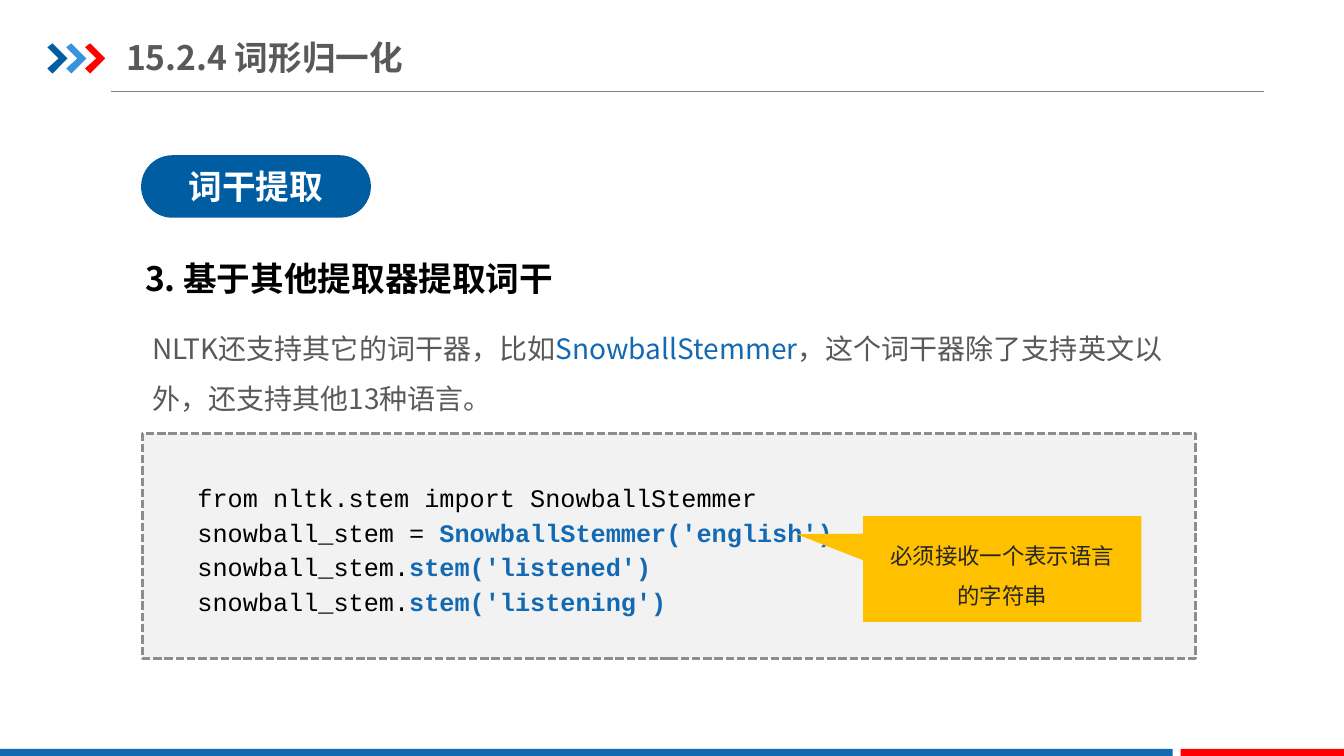
from lxml.etree import SubElement
from pptx import Presentation
from pptx.dml.color import RGBColor
from pptx.enum.dml import MSO_LINE
from pptx.enum.shapes import MSO_CONNECTOR, MSO_SHAPE
from pptx.enum.text import MSO_ANCHOR, MSO_AUTO_SIZE, PP_ALIGN
from pptx.oxml.ns import qn
from pptx.util import Inches, Pt

SANS, MONO = "Noto Sans CJK SC", "Courier New"
HEX = {"navy": "005DA2", "sky": "3992DB", "red": "FF0000", "blue": "1369B2",
       "gray": "595959", "rule": "808080", "dash": "8D8D8D", "pale": "F2F2F2",
       "gold": "FFC000", "dark": "262626", "black": "000000", "white": "FFFFFF"}

# Each text is a list of paragraphs, each paragraph a list of (words, style).
TITLE = [[("15.2.4 词形归一化", "title")]]
TOPIC = [[("词干提取", "topic")]]
HEAD = [[("3. 基于其他提取器提取词干", "head")]]
BODY = [[("NLTK还支持其它的词干器，比如", "body"), ("SnowballStemmer", "term"),
         ("，这个词干器除了支持英文以外，还支持其他13种语言。", "body")]]
CODE = [[("from nltk.stem import SnowballStemmer", "code")],
        [("snowball_stem = ", "code"), ("SnowballStemmer('english')", "key")],
        [("snowball_stem.", "code"), ("stem('listened')", "key")],
        [("snowball_stem.", "code"), ("stem('listening')", "key")]]
NOTE = [[("必须接收一个表示语言的字符串", "note")]]

# Font, size, bold, colour
STYLE = {"title": (SANS, 24, True, "gray"), "topic": (SANS, 24, True, "white"),
         "head": (SANS, 24, True, "black"), "body": (SANS, 20, False, "gray"),
         "term": (SANS, 20, False, "blue"), "code": (MONO, 18, False, "black"),
         "key": (MONO, 18, True, "blue"), "note": (SANS, 16, False, "dark")}

# Left, top, width, height in percent of the slide
LEFT, SPAN = 10.58, 78.39
AREA = {"title": (9.38, 3.87, 36.61, 7.33), "topic": (10.5, 20.53, 17.1, 8.27),
        "head": (10.05, 33.47, 33.23, 6.67), "body": (LEFT, 40.93, SPAN, 14),
        "panel": (LEFT, 57.33, SPAN, 29.73), "code": (11.78, 62.53, 76.07, 19.73),
        "note": (64.22, 68.27, 20.71, 14)}
BARS = [("blue", (0, 99.07, 87.25, 1.2)), ("red", (87.85, 99.07, 12.2, 1.2))]
RULE = (8.25, 94.07, 12.13)
ARROWS = ["navy", "sky", "red"]
ARROW_X, ARROW_Y, STEP = 3.53, 5.73, 1.4
ARROW = [(0, 0.53), (0.38, 0), (1.5, 2), (0.38, 4), (0, 3.33), (0.83, 2)]

deck = Presentation()
deck.slide_width, deck.slide_height = Inches(13.33), Inches(7.5)
slide = deck.slides.add_slide(deck.slide_layouts[5])
shapes = slide.shapes


def across(share):
    return round(deck.slide_width * share / 100)


def down(share):
    return round(deck.slide_height * share / 100)


def place(area):
    x, y, w, h = area
    return across(x), down(y), across(w), down(h)


def tint(name):
    return RGBColor.from_string(HEX[name])


def paint(shape, fill):
    shape.shadow.inherit = False
    shape.fill.solid()
    shape.fill.fore_color.rgb = tint(fill)
    shape.line.fill.background()
    return shape


def block(kind, area, fill):
    return paint(shapes.add_shape(kind, *place(area)), fill)


def write(shape, paras, lines=1.0, indent=0, **frame):
    """Fill a shape with styled paragraphs; frame holds text frame settings."""
    align = frame.pop("align", PP_ALIGN.LEFT)
    text = shape.text_frame
    for name, value in ({"word_wrap": True} | frame).items():
        setattr(text, name, value)
    for i, runs in enumerate(paras):
        para = text.paragraphs[0] if i == 0 else text.add_paragraph()
        para.alignment, para.line_spacing = align, lines
        if indent:
            props = para._p.get_or_add_pPr()
            props.set("marL", "0")
            props.set("indent", str(Inches(indent)))
        for words, style in runs:
            run = para.add_run()
            run.text = words
            face, size, bold, color = STYLE[style]
            for name, value in {"name": face, "size": Pt(size), "bold": bold}.items():
                setattr(run.font, name, value)
            run.font.color.rgb = tint(color)
            SubElement(run._r.get_or_add_rPr(), qn("a:ea"), typeface=face)


def label(name, paras, **form):
    write(shapes.add_textbox(*place(AREA[name])), paras, **form)


# Frame of the slide
start, end, level = RULE
rule = shapes.add_connector(MSO_CONNECTOR.STRAIGHT, across(start), down(level),
                            across(end), down(level))
rule.line.color.rgb, rule.line.width = tint("rule"), Pt(0.75)
SubElement(rule._element.spPr, qn("a:effectLst"))
for i, color in enumerate(ARROWS):
    dots = [(across(ARROW_X + i * STEP + x), down(ARROW_Y + y)) for x, y in ARROW]
    pen = shapes.build_freeform(*dots[0])
    pen.add_line_segments(dots[1:], close=True)
    paint(pen.convert_to_shape(), color)
for color, area in BARS:
    block(MSO_SHAPE.RECTANGLE, area, color)

# Heading and text
title = shapes.title
title.left, title.top, title.width, title.height = place(AREA["title"])
write(title, TITLE, margin_left=0, margin_right=0, auto_size=MSO_AUTO_SIZE.NONE,
      vertical_anchor=MSO_ANCHOR.MIDDLE)
pill = block(MSO_SHAPE.ROUNDED_RECTANGLE, AREA["topic"], "navy")
pill.adjustments[0] = 0.5
write(pill, TOPIC, align=PP_ALIGN.CENTER, vertical_anchor=MSO_ANCHOR.MIDDLE)
label("head", HEAD, word_wrap=False)
label("body", BODY, lines=1.5)

# Code panel with its callout
panel = block(MSO_SHAPE.RECTANGLE, AREA["panel"], "pale")
panel.line.color.rgb, panel.line.width = tint("dash"), Pt(2)
panel.line.dash_style = MSO_LINE.SQUARE_DOT
label("code", CODE, lines=1.15, indent=0.29)
note = block(MSO_SHAPE.RECTANGULAR_CALLOUT, AREA["note"], "gold")
note.adjustments[0], note.adjustments[1] = -0.74, -0.33
write(note, NOTE, lines=1.5, align=PP_ALIGN.CENTER, margin_left=Inches(0.18),
      margin_right=Inches(0.18), vertical_anchor=MSO_ANCHOR.MIDDLE)

deck.save("out.pptx")
